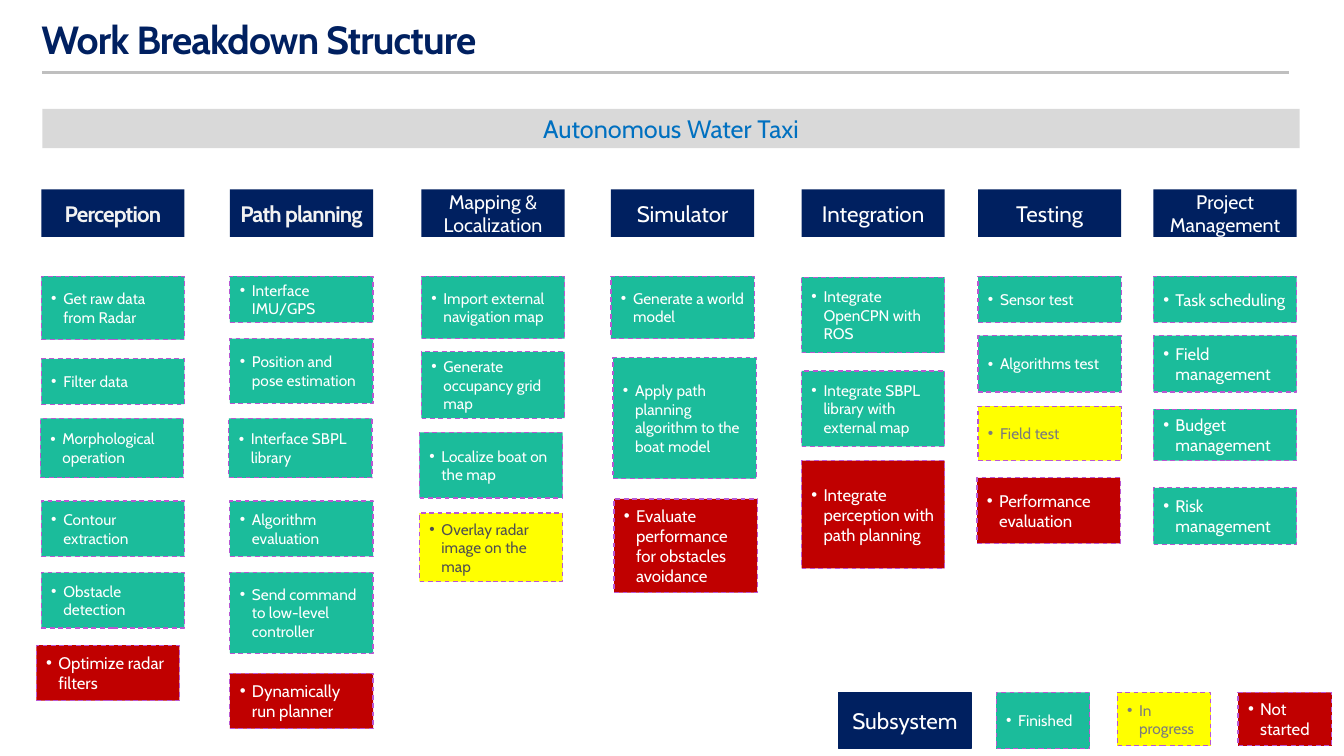
from pptx import Presentation
from pptx import util as u
from pptx.dml.color import RGBColor
from pptx.enum import dml, shapes, text
from pptx.oxml import xmlchemy
from lxml import etree

NAVY = RGBColor(0x00, 0x20, 0x60)
BLUE = RGBColor(0x00, 0x70, 0xC0)
GREEN = RGBColor(0x1B, 0xBC, 0x9B)
YELLOW = RGBColor(0xFF, 0xFF, 0x00)
RED = RGBColor(0xC0, 0x00, 0x00)
PURPLE = RGBColor(0xB9, 0x57, 0xD2)
WHITE = RGBColor(0xFF, 0xFF, 0xFF)
OFF_WHITE = RGBColor(0xF2, 0xF2, 0xF2)
LIGHT_GRAY = RGBColor(0xD9, 0xD9, 0xD9)
RULE_GRAY = RGBColor(0xBF, 0xBF, 0xBF)
TEXT_GRAY = RGBColor(0x7C, 0x7C, 0x7C)
DARK_GRAY = RGBColor(0x50, 0x50, 0x50)

FONT = "Cabin"
A = "{http://schemas.openxmlformats.org/drawingml/2006/main}"
BOX_WIDTH = 1.42
HEADING_TOP, HEADING_HEIGHT = 1.88, 0.47
LEGEND_TOP = 6.87

# Status: fill, text colour, text size
DONE = (GREEN, WHITE, 11)
MANAGED = (GREEN, WHITE, 12)
ACTIVE = (YELLOW, TEXT_GRAY, 11)
ACTIVE_DARK = (YELLOW, DARK_GRAY, 11)
TODO = (RED, WHITE, 12)

# Column: heading, left, size, bold, tasks (text, left shift, top, height, status)
COLUMNS = [
    ("Perception", 0.41, 16, True, [
        ("Get raw data from Radar", 0, 2.74, 0.63, DONE),
        ("Filter data", 0, 3.56, 0.45, DONE),
        ("Morphological operation", -0.01, 4.15, 0.59, DONE),
        ("Contour extraction", 0, 4.97, 0.55, DONE),
        ("Obstacle detection", 0, 5.68, 0.55, DONE),
        ("Optimize radar filters", -0.05, 6.4, 0.55, TODO)]),
    ("Path planning", 2.28, 16, True, [
        ("Interface IMU/GPS", 0, 2.74, 0.46, DONE),
        ("Position and pose estimation", 0, 3.36, 0.64, DONE),
        ("Interface SBPL library", -0.01, 4.15, 0.59, DONE),
        ("Algorithm evaluation", 0, 4.97, 0.55, DONE),
        ("Send command to low-level controller", 0, 5.68, 0.8, DONE),
        ("Dynamically run planner", 0, 6.68, 0.55, TODO)]),
    ("Mapping & Localization", 4.18, 14, False, [
        ("Import external navigation map", 0, 2.74, 0.62, DONE),
        ("Generate occupancy grid map", 0, 3.49, 0.66, DONE),
        ("Localize boat on the map", -0.02, 4.29, 0.65, DONE),
        ("Overlay radar image on the map", -0.02, 5.09, 0.68, ACTIVE_DARK)]),
    ("Simulator", 6.06, 16, False, [
        ("Generate a world model", 0, 2.74, 0.62, DONE),
        ("Apply path planning algorithm to the boat model", 0.02, 3.55, 1.2, DONE),
        ("Evaluate performance for obstacles avoidance", 0.03, 4.95, 0.93, TODO)]),
    ("Integration", 7.95, 16, False, [
        ("Integrate OpenCPN with ROS", 0, 2.75, 0.75, DONE),
        ("Integrate SBPL library with external map", 0, 3.68, 0.75, DONE),
        ("Integrate perception with path planning", 0, 4.57, 1.07, TODO)]),
    ("Testing", 9.7, 16, False, [
        ("Sensor test", 0, 2.74, 0.46, DONE),
        ("Algorithms test", 0, 3.33, 0.56, DONE),
        ("Field test", 0, 4.03, 0.54, ACTIVE),
        ("Performance evaluation", -0.01, 4.74, 0.65, TODO)]),
    ("Project Management", 11.44, 14, False, [
        ("Task scheduling", 0, 2.74, 0.46, MANAGED),
        ("Field management", 0, 3.33, 0.56, MANAGED),
        ("Budget management", 0, 4.06, 0.51, MANAGED),
        ("Risk management", 0, 4.84, 0.56, MANAGED)]),
]
LEGEND = [("Finished", 9.88, 0.56, DONE),
          ("In progress", 11.08, 0.53, ACTIVE),
          ("Not started", 12.28, 0.53, TODO)]

presentation = Presentation()
presentation.slide_width = u.Inches(13.33)
presentation.slide_height = u.Inches(7.5)
slide = presentation.slides.add_slide(presentation.slide_layouts[6])


def add_box(label, left, top, width, height, fill, color, size, bold=False):
    """Add a centred, borderless label box."""
    shape = slide.shapes.add_shape(
        shapes.MSO_SHAPE.RECTANGLE, *map(u.Inches, (left, top, width, height)))
    shape.shadow.inherit = False
    shape.fill.solid()
    shape.fill.fore_color.rgb = fill
    shape.line.fill.background()
    frame = shape.text_frame
    frame.word_wrap = True
    frame.vertical_anchor = text.MSO_ANCHOR.MIDDLE
    paragraph = frame.paragraphs[0]
    paragraph.alignment = text.PP_ALIGN.CENTER
    run = paragraph.add_run()
    run.text = label
    font_format = {"name": FONT, "size": u.Pt(size), "bold": bold}
    for name, value in font_format.items():
        setattr(run.font, name, value)
    run.font.color.rgb = color
    if bold:
        run.font._element.set("spc", "-60")
    return shape


def add_task(label, left, top, width, height, status):
    """Add a bulleted box with a dashed border, coloured by status."""
    shape = add_box(label, left, top, width, height, *status)
    shape.line.color.rgb = PURPLE
    shape.line.width = u.Pt(0.85)
    shape.line.dash_style = dml.MSO_LINE.DASH
    paragraph = shape.text_frame.paragraphs[0]
    paragraph.alignment = text.PP_ALIGN.LEFT
    properties = paragraph._p.get_or_add_pPr()
    properties.set("marL", str(u.Inches(0.12)))
    properties.set("indent", str(u.Inches(-0.12)))
    etree.SubElement(properties, A + "buFont", typeface="Arial")
    etree.SubElement(properties, A + "buChar", char="•")


# Title
title = slide.shapes.add_textbox(
    u.Inches(-0.19), u.Inches(0), u.Inches(13.33), u.Inches(0.71))
title_format = {"word_wrap": True, "vertical_anchor": text.MSO_ANCHOR.MIDDLE,
                "margin_left": u.Inches(0.6), "margin_top": u.Inches(0.17),
                "margin_right": u.Inches(0.06), "margin_bottom": u.Inches(0.06)}
for name, value in title_format.items():
    setattr(title.text_frame, name, value)
paragraph = title.text_frame.paragraphs[0]
paragraph.line_spacing = 0.9
run = paragraph.add_run()
run.text = "Work Breakdown Structure"
for name, value in {"name": FONT, "size": u.Pt(28), "bold": True}.items():
    setattr(run.font, name, value)
run.font.color.rgb = NAVY
run.font._element.set("spc", "-60")

# Rule under the title
rule = slide.shapes.add_connector(
    shapes.MSO_CONNECTOR.STRAIGHT,
    u.Inches(0.42), u.Inches(0.72), u.Inches(12.78), u.Inches(0.72))
rule.line.color.rgb = RULE_GRAY
rule.line.width = u.Pt(1.75)
etree.SubElement(rule._element.spPr, A + "effectLst")

# Project banner
add_box("Autonomous Water Taxi", 0.42, 1.08, 12.47, 0.39, LIGHT_GRAY, BLUE, 18)

# Subsystem columns
for heading, left, size, bold, tasks in COLUMNS:
    add_box(heading, left, HEADING_TOP, BOX_WIDTH, HEADING_HEIGHT, NAVY,
            OFF_WHITE if bold else WHITE, size, bold)
    for label, shift, top, height, status in tasks:
        add_task(label, left + shift, top, BOX_WIDTH, height, status)

# Legend
subsystem = add_box("Subsystem", 8.32, LEGEND_TOP, 1.31, 0.56, NAVY, WHITE, 16)
subsystem.line.color.rgb = NAVY
subsystem.line.width = u.Pt(0.85)
for label, left, height, status in LEGEND:
    add_task(label, left, LEGEND_TOP, 0.93, height, status)

presentation.save("out.pptx")
